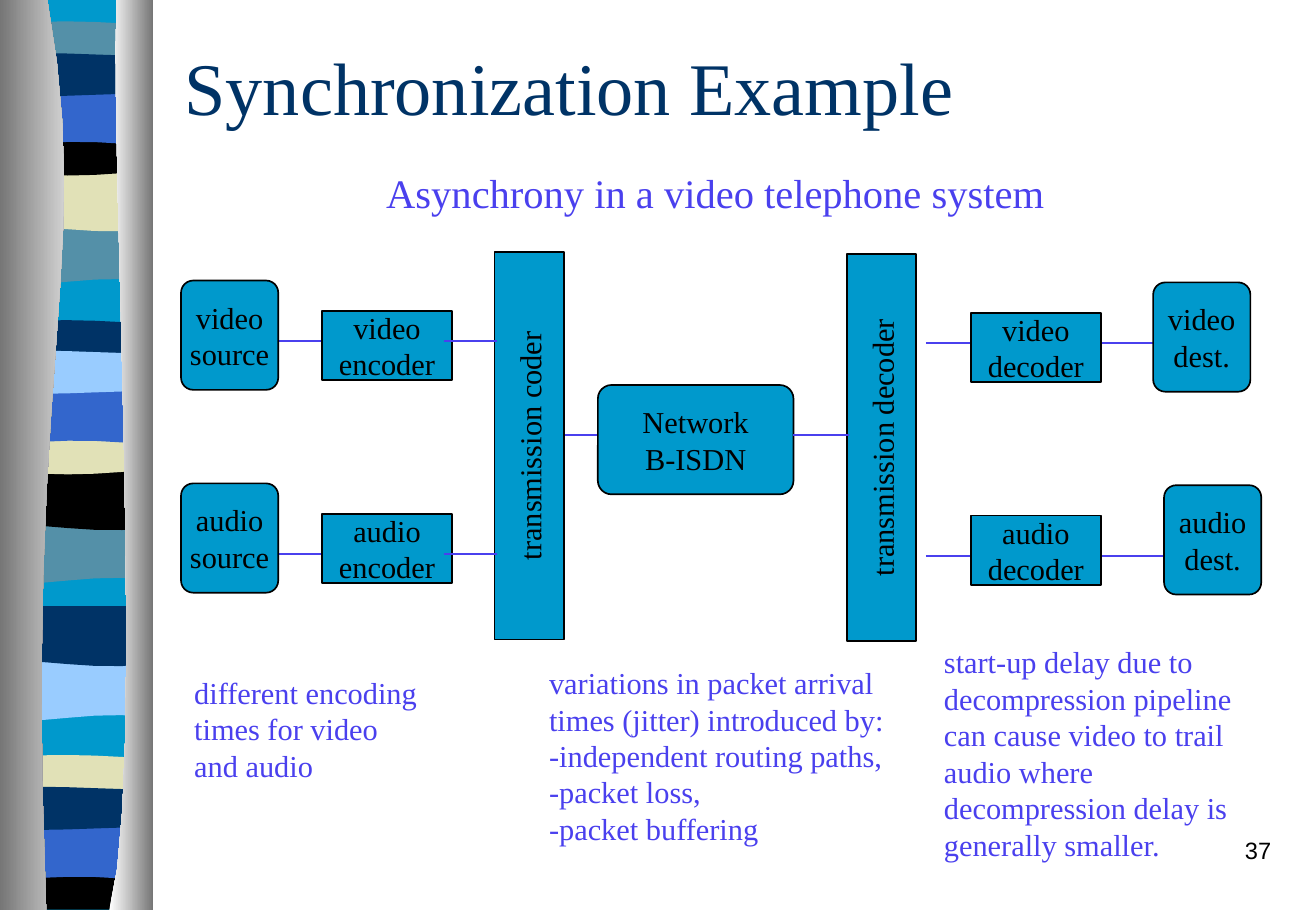
from pptx import Presentation
from pptx.dml.color import RGBColor
from pptx.enum.shapes import MSO_CONNECTOR, MSO_SHAPE
from pptx.enum.text import MSO_ANCHOR, PP_ALIGN
from pptx.oxml import parse_xml
from pptx.oxml.ns import nsdecls
from pptx.util import Inches, Pt

# Content
TITLE = "Synchronization Example"
TOPIC = "Asynchrony in a video telephone system"
NUMBER = "37"
COLORS = {
    "sky": "0099CC", "teal": "5490A8", "navy": "003366", "blue": "3366CC",
    "black": "000000", "cream": "E1E1B7", "pale": "99CCFF",
    "violet": "4A40EE", "white": "FFFFFF", "gray": "767676", "light": "D0D0D0",
}
SERIF, SANS = "Times New Roman", "Arial"

# All lengths are counted in grid cells, ten to the inch
WIDE, HIGH = 108.3, 75

# Notes: left, top, width, lines
NOTES = [
    (15, 55, 20.4, ["different encoding", "times for video", "and audio"]),
    (44.2, 54.2, 31.1, [
        "variations in packet arrival times (jitter) introduced by:",
        "-independent routing paths,", "-packet loss,", "-packet buffering"]),
    (76.7, 52.5, 26.4, [
        "start-up delay due to decompression pipeline can cause video to "
        "trail audio where decompression delay is generally smaller."]),
]
# Streams: name, top of source, height of wire, left of dest
STREAMS = [("video", 23.1, 28.1, 94.9), ("audio", 39.8, 45.6, 95.8)]
# Tall boxes: text, centre across, centre down
TALL = [("transmission coder", 43.55, 36.7),
        ("transmission decoder", 72.55, 36.85)]
DROP, SHIFT = 2.5, 0.15   # codec below source, right side below left
HUB = 35.8                # height of the network wires

# Ribbon, back to front: colour, top, its wave, bottom, its wave
WAVES = {"flat": (0, 0), "rise": (-0.5, -0.4), "sag": (0.6, 0.6),
         "arch": (-0.4, -0.7), "lift": (-0.5, 0), "dip": (0.5, 0),
         "roll": (-0.6, 0.8), "swell": (0.8, -0.8)}
FOOT = 74.9
BANDS = [
    ("sky", 0, "flat", FOOT, "flat"),
    ("teal", 18.5, "flat", 23.2, "swell"),
    ("cream", 14.1, "flat", 18.8, "roll"),
    ("teal", 2.1, "rise", 4.5, "sag"),
    ("black", 10.8, "dip", 14, "sag"),
    ("blue", 7.4, "flat", 12.1, "arch"),
    ("navy", 4.6, "lift", 7.7, "dip"),
    ("teal", 43.1, "flat", 47.8, "swell"),
    ("black", 38.6, "flat", 43.4, "roll"),
    ("navy", 26.7, "rise", 29.1, "sag"),
    ("cream", 35.3, "dip", 38.6, "sag"),
    ("blue", 32, "flat", 36.7, "arch"),
    ("pale", 29.1, "lift", 32.2, "dip"),
    ("pale", 54.4, "flat", 59.1, "swell"),
    ("navy", 49.9, "flat", 54.6, "roll"),
    ("cream", 62.5, "rise", 64.9, "sag"),
    ("black", 71.2, "dip", FOOT, "flat"),
    ("blue", 67.9, "flat", 72.6, "arch"),
    ("navy", 65, "lift", 68.1, "dip"),
]
# Curtains: outer side, four points of the inner curve, two shades
CURTAINS = [
    (0, [(3.9, 0), (7.8, 21.6), (1.9, 29.6), (3.8, FOOT)], ("gray", "light")),
    (12.6, [(9.6, 0), (9, 12.5), (12.1, 64.6), (9, FOOT)], ("white", "gray")),
]

deck = Presentation()
deck.slide_width, deck.slide_height = Inches(WIDE / 10), Inches(HIGH / 10)
slide = deck.slides.add_slide(deck.slide_layouts[6])
shapes = slide.shapes


def cell(n):
    return Inches(n / 10)


def tint(name):
    return RGBColor.from_string(COLORS[name])


def curve(points, steps):
    """Points along a cubic curve."""
    def blend(t, a, b, c, d):
        s = 1 - t
        return s**3 * a + 3 * s * s * t * b + 3 * s * t * t * c + t**3 * d
    return [tuple(blend(i / steps, *axis) for axis in zip(*points))
            for i in range(steps + 1)]


def edge(y, wave):
    """One border of a band, left to right."""
    one, two = WAVES[wave]
    points = [(0.6, y), (2.6, y + one), (8, y + two), (12.3, y)]
    return curve(points, 1 if wave == "flat" else 6)


def outline(points):
    spots = [(cell(x), cell(y)) for x, y in points]
    form = shapes.build_freeform(*spots[0])
    form.add_line_segments(spots[1:], close=True)
    shape = form.convert_to_shape()
    shape.shadow.inherit = False
    shape.line.fill.background()
    return shape


def write(shape, lines, size=18, color="black", font=SERIF,
          align=PP_ALIGN.LEFT, anchor=MSO_ANCHOR.TOP, wrap=True):
    frame = shape.text_frame
    frame.word_wrap = wrap
    frame.vertical_anchor = anchor
    for i, line in enumerate(lines):
        para = frame.add_paragraph() if i else frame.paragraphs[0]
        para.alignment = align
        run = para.add_run()
        run.text = line
        run.font.size = Pt(size)
        run.font.name = font
        run.font.color.rgb = tint(color)


def note(x, y, w, h, lines, **style):
    write(shapes.add_textbox(*map(cell, (x, y, w, h))), lines, **style)


def box(x, y, w, h, lines, soft=False, turn=0):
    kind = MSO_SHAPE.ROUNDED_RECTANGLE if soft else MSO_SHAPE.RECTANGLE
    shape = shapes.add_shape(kind, *map(cell, (x, y, w, h)))
    if soft:
        shape.adjustments[0] = 0.125
    shape.rotation = turn
    shape.shadow.inherit = False
    shape.fill.solid()
    shape.fill.fore_color.rgb = tint("sky")
    shape.line.color.rgb = tint("black")
    shape.line.width = Pt(1)
    write(shape, lines, align=PP_ALIGN.CENTER, anchor=MSO_ANCHOR.MIDDLE,
          wrap=False)


def wire(left, right, y):
    line = shapes.add_connector(MSO_CONNECTOR.STRAIGHT, cell(left), cell(y),
                                cell(right), cell(y))
    line.line.color.rgb = tint("violet")
    line.line.width = Pt(1)
    line._element.spPr.append(parse_xml(f"<a:effectLst {nsdecls('a')}/>"))


# Ribbon
for color, top, above, bottom, below in BANDS:
    band = outline(edge(top, above) + edge(bottom, below)[::-1])
    band.fill.solid()
    band.fill.fore_color.rgb = tint(color)

# Curtains
for side, points, shades in CURTAINS:
    drape = outline(curve(points, 12) + [(side, FOOT), (side, 0)])
    drape.fill.gradient()
    drape.fill.gradient_angle = 0
    for stop, shade in zip(drape.fill.gradient_stops, shades):
        stop.color.rgb = tint(shade)

# Headings
note(14.2, 4.2, 92.1, 5.8, [TITLE], size=44, color="navy",
     anchor=MSO_ANCHOR.MIDDLE)
note(30.8, 13.35, 56.2, 5, [TOPIC], size=24, color="violet", wrap=False)

# Network and tall boxes
wire(44.6, 49.1, HUB)
box(49.2, 31.7, 16.1, 9, ["Network", "B-ISDN"], soft=True)
for text, x, y in TALL:
    box(x - 15.95, y - 2.85, 31.9, 5.7, [text], turn=270)
wire(65.3, 69.9, HUB)

# Streams from source to destination
for name, top, y, dest in STREAMS:
    wire(21.1, 26.5, y)
    wire(76.2, 82.5, y + SHIFT)
    wire(90.6, dest + 2, y + SHIFT)
    box(14.9, top, 8, 9, [name, "source"], soft=True)
    box(26.5, top + DROP, 10.7, 5.7, [name, "encoder"])
    box(79.9, top + DROP + SHIFT, 10.7, 5.7, [name, "decoder"])
    box(dest, top + SHIFT, 8, 9, [name, "dest."], soft=True)
    wire(36.5, 40.9, y)

# Notes and slide number
for x, y, w, lines in NOTES:
    tall = 19 if len(lines) == 1 else 4 * len(lines) - 2
    note(x, y, w, tall, lines, color="violet")
note(83, 68.3, 22.6, 5, [NUMBER], size=14, font=SANS, align=PP_ALIGN.RIGHT)

deck.save("out.pptx")
